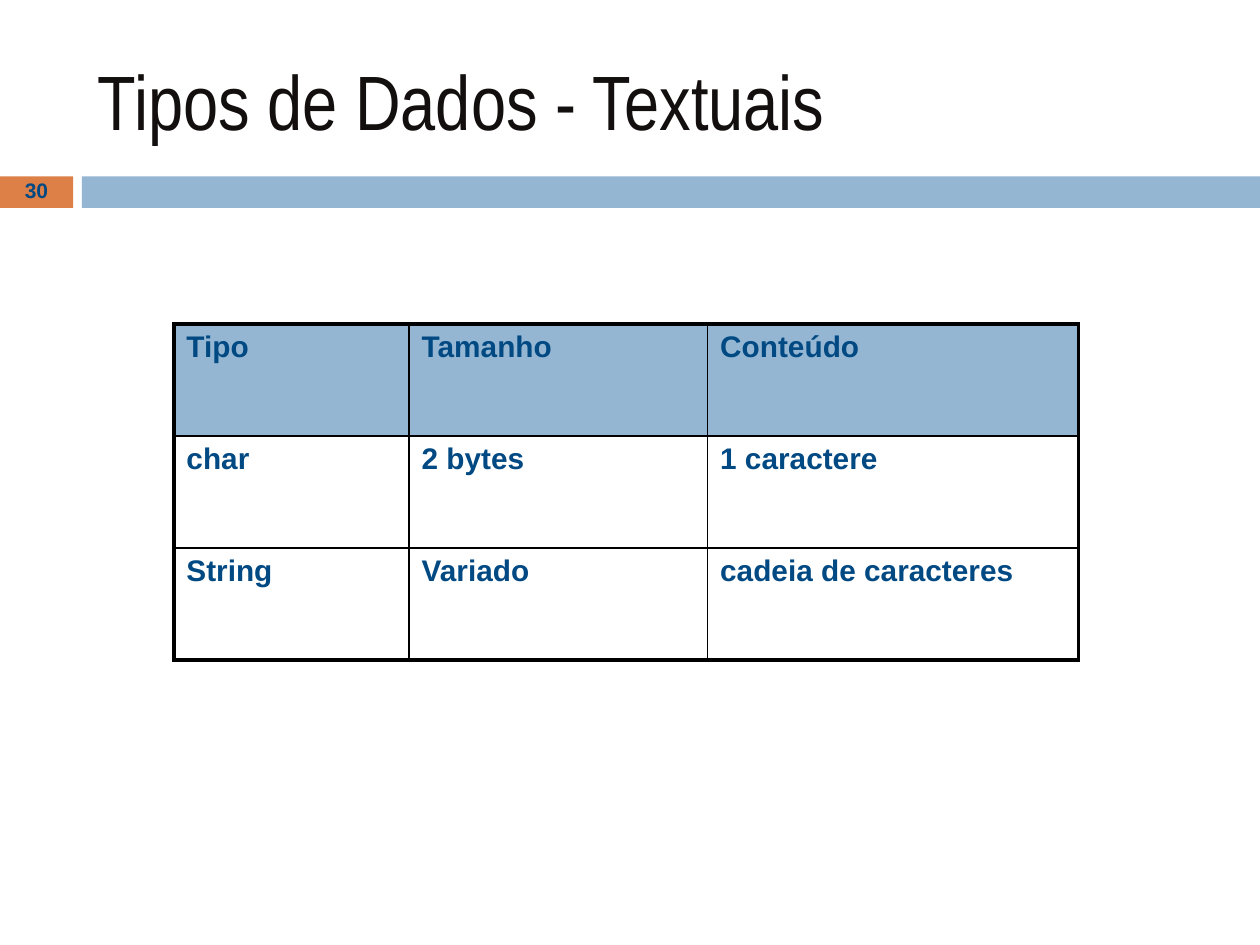
from lxml.etree import SubElement
from pptx import Presentation
from pptx.dml.color import RGBColor
from pptx.enum.shapes import MSO_SHAPE
from pptx.enum.text import MSO_ANCHOR, PP_ALIGN
from pptx.oxml.ns import qn
from pptx.util import Inches, Pt

ORANGE = RGBColor(0xDD, 0x80, 0x47)
BLUE = RGBColor(0x94, 0xB6, 0xD2)
NAVY = RGBColor(0x00, 0x49, 0x83)
INK = RGBColor(0x13, 0x0F, 0x0E)
BLACK = RGBColor(0x00, 0x00, 0x00)

ROWS = [
    ("Tipo", "Tamanho", "Conteúdo"),
    ("char", "2 bytes", "1 caractere"),
    ("String", "Variado", "cadeia de caracteres"),
]
COLUMN_SHARES = (0.26, 0.33, 0.41)
OUTER, INNER = 2.25, 1


def style(p, size, color, name="Arial", bold=True):
    """Set the font of a whole paragraph."""
    font = p.font
    font.name, font.size, font.bold = name, Pt(size), bold
    font.color.rgb = color


def set_border(cell, side, width):
    """Draw one solid black edge of a table cell."""
    line = SubElement(cell._tc.get_or_add_tcPr(), qn(f"a:ln{side}"), w=str(Pt(width)))
    fill = SubElement(line, qn("a:solidFill"))
    SubElement(fill, qn("a:srgbClr"), val=str(BLACK))


def add_title(slide, box, text):
    """Place and format the title placeholder."""
    s = slide.shapes.title
    s.left, s.top, s.width, s.height = map(Inches, box)
    tf = s.text_frame
    tf.text = text
    tf.vertical_anchor = MSO_ANCHOR.MIDDLE
    p = tf.paragraphs[0]
    p.alignment = PP_ALIGN.LEFT
    style(p, 44, INK, "Arial Narrow", False)


def add_band(slide, box, number):
    """Draw the band with the slide number in its left block."""
    left, top, width, height = box
    block, gap = width * 0.058, width * 0.007
    parts = ((left, block, ORANGE), (left + block + gap, width - block - gap, BLUE))
    for x, w, color in parts:
        s = slide.shapes.add_shape(MSO_SHAPE.RECTANGLE, *map(Inches, (x, top, w, height)))
        s.shadow.inherit = False
        s.fill.solid()
        s.fill.fore_color.rgb = color
        s.line.fill.background()
    tf = slide.shapes.add_textbox(*map(Inches, (left, top, block, height))).text_frame
    tf.word_wrap = True
    tf.vertical_anchor = MSO_ANCHOR.MIDDLE
    p = tf.paragraphs[0]
    p.text = number
    p.alignment = PP_ALIGN.CENTER
    p.line_spacing = 0.8
    style(p, 12, NAVY)


def add_type_table(slide, box, rows):
    """Build the table of types with a thick outer frame."""
    last_row, last_col = len(rows) - 1, len(COLUMN_SHARES) - 1
    table = slide.shapes.add_table(len(rows), len(COLUMN_SHARES), *map(Inches, box)).table
    for column, share in zip(table.columns, COLUMN_SHARES):
        column.width = Inches(box[2] * share)
    for i, row in enumerate(rows):
        for j, text in enumerate(row):
            cell = table.cell(i, j)
            cell.text = text
            style(cell.text_frame.paragraphs[0], 17, NAVY)
            edges = {"L": j == 0, "R": j == last_col, "T": i == 0, "B": i == last_row}
            for side, is_outer in edges.items():
                set_border(cell, side, OUTER if is_outer else INNER)
            if i == 0:
                cell.fill.solid()
                cell.fill.fore_color.rgb = BLUE
            else:
                cell.fill.background()


def main():
    """Build and save the slide."""
    prs = Presentation()
    prs.slide_width, prs.slide_height = Inches(10), Inches(7.5)
    slide = prs.slides.add_slide(prs.slide_layouts[5])
    add_band(slide, (0, 1.4, 10, 0.25), "30")
    add_title(slide, (0.67, 0.25, 8.92, 1.08), "Tipos de Dados - Textuais")
    add_type_table(slide, (1.38, 2.57, 7.18, 2.67), ROWS)
    prs.save("out.pptx")


if __name__ == "__main__":
    main()
